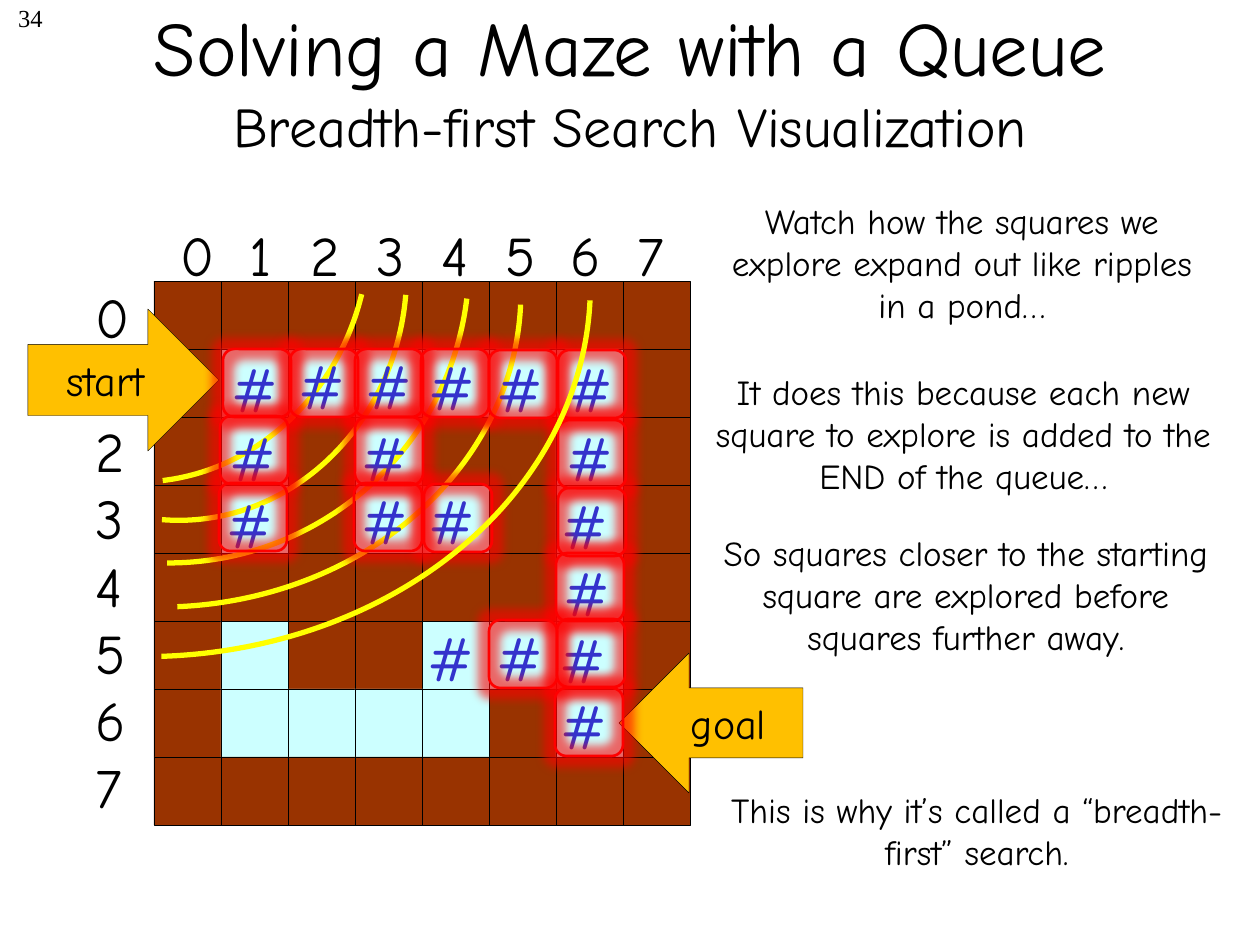
import collections
import dataclasses
import typing

import lxml.etree
import pptx
import pptx.dml.color
import pptx.enum.shapes
import pptx.enum.text
import pptx.oxml.ns
import pptx.util

EMU_PER_PX = 914400 / 126
FONT = "Comic Neue"
COLORS = {
    "text": "000000",
    "wall": "993300",
    "path": "CCFFFF",
    "arrow": "FFC000",
    "ripple": "FFFF00",
    "mark": "3333CC",
    "glow": "FF0000",
}
SHAPES = pptx.enum.shapes.MSO_SHAPE
ALIGN = pptx.enum.text.PP_ALIGN
ANCHOR = pptx.enum.text.MSO_ANCHOR

MAZE = [
    "########",
    "#      #",
    "# # ## #",
    "# #  # #",
    "###### #",
    "# ##   #",
    "#    # #",
    "########",
]
MAZE_LEFT, MAZE_TOP = 154, 281
CELL_WIDTH, CELL_HEIGHT = 67, 68
START, GOAL = (1, 1), (6, 6)
DIRECTIONS = [(1, 0), (-1, 0), (0, 1), (0, -1)]


class Frame(typing.NamedTuple):
    left: int
    top: int
    width: int
    height: int


@dataclasses.dataclass
class Label:
    frame: Frame
    lines: list[str]
    size: int
    align: ALIGN = ALIGN.CENTER
    color: str = "text"
    font: str = FONT
    wrap: bool = True


@dataclasses.dataclass
class Ripple:
    frame: Frame
    rotation: float
    angles: tuple[float, float] = (162, 212.03)


class Step(typing.NamedTuple):
    mark: tuple[int, int]
    glow: tuple[int, int]


LABELS = [
    Label(Frame(83, 276, 60, 556), list("01234567"), 32, ALIGN.LEFT, wrap=False),
    Label(Frame(-207, -3, 262, 63), ["34"], 14, ALIGN.RIGHT, font="Times New Roman"),
    Label(Frame(718, 193, 488, 140),
          ["Watch how the squares we explore expand out like ripples in a pond…"], 20),
    Label(Frame(707, 525, 518, 140),
          ["So squares closer to the starting square are explored before squares further away."], 20),
    Label(Frame(680, 364, 567, 140),
          ["It does this because each new square to explore is added to the END of the queue…"], 20),
    Label(Frame(718, 782, 518, 97), ["This is why it’s called a “breadth-first” search."], 20),
]
RIPPLES = [
    Ripple(Frame(-100, 14, 488, 449), 99.2, (165.1, 207.84)),
    Ripple(Frame(-62, 52, 488, 449), 94.7, (162, 0)),
    Ripple(Frame(-132, -38, 601, 601), 96.9),
    Ripple(Frame(-164, -78, 638, 732), 92.6),
]
LAST_RIPPLE = Ripple(Frame(-242, -176, 755, 910), 92.7)
STEPS = {
    (1, 1): Step((219, 343), (223, 349)),
    (2, 1): Step((286, 340), (290, 349)),
    (3, 1): Step((353, 340), (355, 349)),
    (4, 1): Step((416, 341), (421, 349)),
    (5, 1): Step((484, 343), (489, 350)),
    (6, 1): Step((554, 343), (558, 350)),
    (1, 2): Step((217, 412), (220, 416)),
    (3, 2): Step((349, 412), (355, 417)),
    (6, 2): Step((554, 412), (558, 420)),
    (1, 3): Step((214, 479), (219, 483)),
    (3, 3): Step((349, 475), (354, 483)),
    (4, 3): Step((416, 475), (424, 484)),
    (6, 3): Step((549, 480), (558, 488)),
    (6, 4): Step((551, 547), (556, 553)),
    (4, 5): Step((415, 612), (422, 620)),
    (5, 5): Step((484, 612), (489, 620)),
    (6, 5): Step((547, 614), (557, 619)),
    (6, 6): Step((548, 680), (555, 688)),
}


def px(length: float) -> pptx.util.Emu:
    return pptx.util.Emu(round(length * EMU_PER_PX))


def rgb(name: str) -> pptx.dml.color.RGBColor:
    return pptx.dml.color.RGBColor.from_string(COLORS[name])


def set_font(font, size: int, color: str = "text", name: str = FONT) -> None:
    font.name = name
    font.size = pptx.util.Pt(size)
    font.color.rgb = rgb(color)


def add_label(page, label: Label):
    box = page.shapes.add_textbox(*map(px, label.frame))
    frame = box.text_frame
    frame.word_wrap = label.wrap
    frame.text = "\n".join(label.lines)
    for para in frame.paragraphs:
        para.alignment = label.align
        set_font(para.font, label.size, label.color, label.font)
    return box


def add_outline(page, kind: SHAPES, frame: Frame, line: str, weight: float, fill: str = ""):
    shape = page.shapes.add_shape(kind, *map(px, frame))
    shape.shadow.inherit = False
    if fill:
        shape.fill.solid()
        shape.fill.fore_color.rgb = rgb(fill)
    else:
        shape.fill.background()
    shape.line.color.rgb = rgb(line)
    shape.line.width = pptx.util.Pt(weight)
    return shape


def add_title(page) -> None:
    box = add_label(page, Label(Frame(95, 0, 1071, 158), ["Solving a Maze with a Queue"], 44))
    box.text_frame.vertical_anchor = ANCHOR.MIDDLE
    para = box.text_frame.paragraphs[0]
    para.add_line_break()
    span = para.add_run()
    span.text = "Breadth-first Search Visualization"
    span.font.size = pptx.util.Pt(32)


def add_column_numbers(page) -> None:
    numbers = "\t".join("01234567")
    box = add_label(page, Label(Frame(168, 214, 530, 81), [numbers], 32, ALIGN.LEFT))
    properties = box.text_frame.paragraphs[0]._p.get_or_add_pPr()
    tabs = lxml.etree.Element(pptx.oxml.ns.qn("a:tabLst"))
    for column in range(1, 8):
        lxml.etree.SubElement(tabs, pptx.oxml.ns.qn("a:tab"),
                              pos=str(px(15 + 65 * column)), algn="ctr")
    properties.insert(0, tabs)


def add_maze(page) -> None:
    for row, squares in enumerate(MAZE):
        for column, square in enumerate(squares):
            frame = Frame(MAZE_LEFT + column * CELL_WIDTH, MAZE_TOP + row * CELL_HEIGHT,
                          CELL_WIDTH, CELL_HEIGHT)
            add_outline(page, SHAPES.RECTANGLE, frame, "text", 0.25,
                        "wall" if square == "#" else "path")


def add_arrow(page, kind: SHAPES, frame: Frame, caption: str) -> None:
    arrow = add_outline(page, kind, frame, "text", 0.25, "arrow")
    arrow.text_frame.word_wrap = False
    arrow.text_frame.vertical_anchor = ANCHOR.MIDDLE
    para = arrow.text_frame.paragraphs[0]
    para.text = caption
    para.alignment = ALIGN.CENTER
    set_font(para.font, 24)


def add_ripple(page, ripple: Ripple) -> None:
    arc = add_outline(page, SHAPES.ARC, ripple.frame, "ripple", 3)
    arc.rotation = ripple.rotation
    arc.adjustments[0], arc.adjustments[1] = ripple.angles


def add_mark(page, cell: tuple[int, int]) -> None:
    add_label(page, Label(Frame(*STEPS[cell].mark, 79, 89), ["#"], 36, ALIGN.LEFT, "mark", wrap=False))


def add_glow(page, cell: tuple[int, int]) -> None:
    square = add_outline(page, SHAPES.ROUNDED_RECTANGLE, Frame(*STEPS[cell].glow, 68, 68), "glow", 1.5)
    effects = square._element.spPr.find(pptx.oxml.ns.qn("a:effectLst"))
    glow = lxml.etree.SubElement(effects, pptx.oxml.ns.qn("a:glow"), rad=str(pptx.util.Pt(11)))
    color = lxml.etree.SubElement(glow, pptx.oxml.ns.qn("a:srgbClr"), val=COLORS["glow"])
    lxml.etree.SubElement(color, pptx.oxml.ns.qn("a:alpha"), val="60000")


def add_search(page) -> None:
    queue, seen = collections.deque([START]), {START}
    add_mark(page, START)
    while queue:
        column, row = cell = queue.popleft()
        add_glow(page, cell)
        if cell == GOAL:
            return
        for across, down in DIRECTIONS:
            near = (column + across, row + down)
            if MAZE[near[1]][near[0]] == " " and near not in seen:
                seen.add(near)
                queue.append(near)
                add_mark(page, near)


def main() -> None:
    deck = pptx.Presentation()
    deck.slide_width, deck.slide_height = px(1260), px(945)
    page = deck.slides.add_slide(deck.slide_layouts[6])
    for label in LABELS:
        add_label(page, label)
    add_title(page)
    add_column_numbers(page)
    add_maze(page)
    add_arrow(page, SHAPES.RIGHT_ARROW, Frame(28, 309, 191, 142), "start")
    add_arrow(page, SHAPES.LEFT_ARROW, Frame(619, 653, 184, 140), "goal")
    for ripple in RIPPLES:
        add_ripple(page, ripple)
    add_search(page)
    add_ripple(page, LAST_RIPPLE)
    deck.save("out.pptx")


if __name__ == "__main__":
    main()
